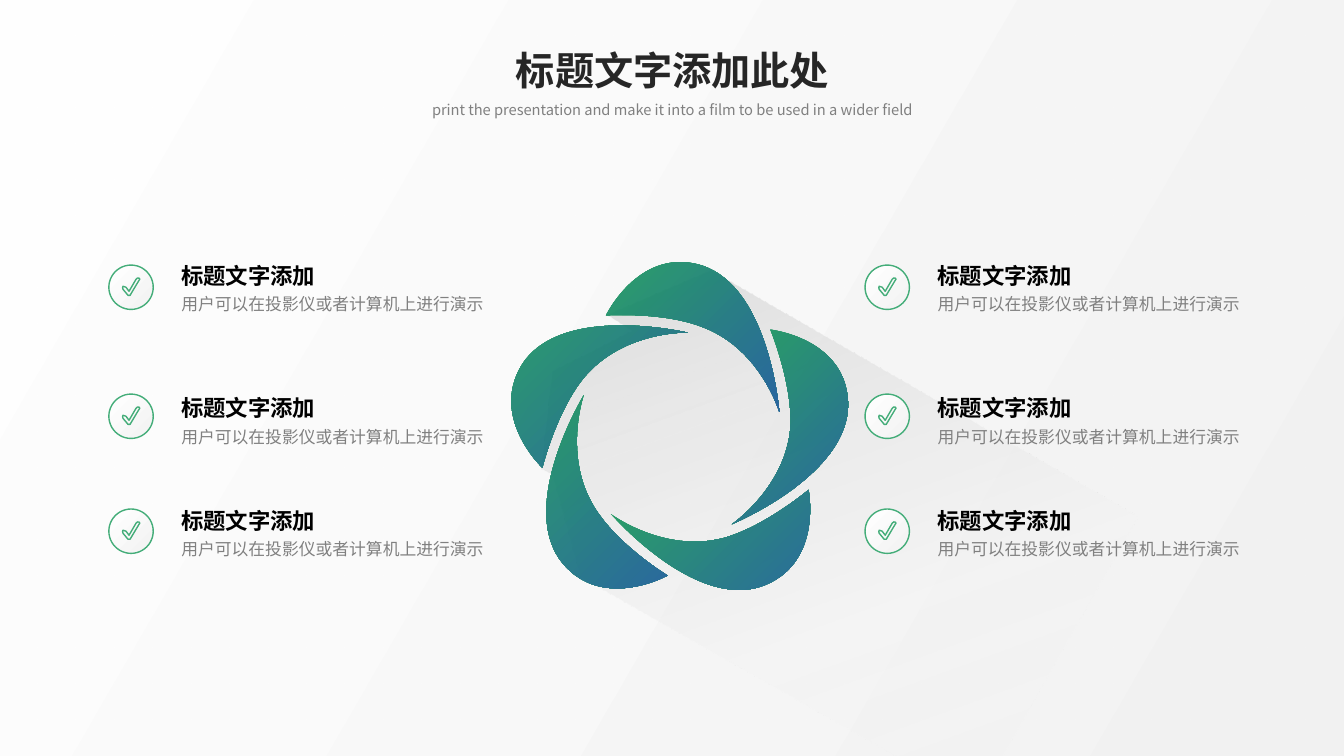
from dataclasses import dataclass

from lxml import etree
from pptx import Presentation
from pptx import util as u
from pptx.dml.color import RGBColor
from pptx.enum import shapes, text
from pptx.oxml.ns import qn

SCALE = 9144
WIDTH, HEIGHT = 1333, 750


@dataclass(frozen=True)
class Theme:
    font: str = "Noto Sans CJK SC"
    heading: str = "262626"
    label: str = "000000"
    muted: str = "808080"
    ring: str = "44AD79"
    heading_size: float = 28
    label_size: float = 16
    body_size: float = 12
    caption_size: float = 10.5
    backdrop: tuple = ((0, "FFFFFF", 95), (100, "F2F2F2", 100))
    petal: tuple = ((0, "159857", 90), (100, "155798", 90))
    badge: tuple = ((0, "FFFFFF", 100), (100, "F2F2F2", 100))
    cast: tuple = ((0, "BFBFBF", 50), (61, "F2F2F2", 34), (100, "F2F2F2", 0))


THEME = Theme()

CAST_SHADOW = [(1128, 512), (968, 795), (576, 572), (548, 470), (537, 465),
               (548, 368), (627, 328), (602, 312), (705, 268)]

PETALS = [
    ((538, 464), [(538, 464, 486, 415, 517, 363), (555, 300, 682, 330, 682, 330),
                  (682, 330, 618, 328, 579, 375), (552, 408, 538, 464, 538, 464)]),
    ((601, 313), [(601, 313, 632, 248, 691, 262), (763, 279, 773, 409, 773, 409),
                  (773, 409, 755, 347, 698, 325), (659, 309, 601, 313, 601, 313)]),
    ((764, 327), [(764, 327, 836, 335, 841, 396), (847, 470, 726, 520, 726, 520),
                  (726, 520, 780, 483, 784, 423), (786, 380, 764, 327, 764, 327)]),
    ((802, 486), [(802, 486, 816, 556, 760, 580), (692, 609, 606, 510, 606, 510),
                  (606, 510, 658, 549, 717, 534), (758, 523, 802, 486, 802, 486)]),
    ((662, 571), [(662, 571, 599, 606, 559, 560), (511, 504, 579, 392, 579, 392),
                  (579, 392, 558, 453, 590, 504), (613, 541, 662, 571, 662, 571)]),
]

BADGE_SIZE = 44
CHECK_START = (20, 30)
CHECK_SEGMENTS = [
    (19, 30, 19, 30, 19, 30), (14, 24), (13, 23, 14, 22, 14, 21),
    (15, 21, 16, 21, 17, 22), (20, 26), (27, 14), (28, 13, 29, 12, 30, 13),
    (31, 13, 31, 15, 30, 15), (21, 30), (21, 30, 21, 30, 20, 30),
]

COLUMNS = (108, 858)
ROWS = ((263, 250), (391, 381), (505, 493))


def px(*lengths):
    return [u.Emu(length * SCALE) for length in lengths]


def paint(shape, stops, angle, line=None):
    shape.shadow.inherit = False
    shape.fill.gradient()
    gradient = shape.element.spPr.find(qn("a:gradFill"))
    for child in list(gradient):
        gradient.remove(child)
    stop_list = etree.SubElement(gradient, qn("a:gsLst"))
    for position, color, alpha in stops:
        stop = etree.SubElement(stop_list, qn("a:gs"), pos=str(position * 1000))
        fill = etree.SubElement(stop, qn("a:srgbClr"), val=color)
        if alpha < 100:
            etree.SubElement(fill, qn("a:alpha"), val=str(alpha * 1000))
    etree.SubElement(gradient, qn("a:lin"), ang=str(angle * 60000), scaled="0")
    if line:
        shape.line.color.rgb = RGBColor.from_string(line)
        shape.line.width = u.Pt(1)
    else:
        shape.line.fill.background()


def add_preset(slide, preset, box, stops, angle, line=None):
    shape = slide.shapes.add_shape(preset, *px(*box))
    paint(shape, stops, angle, line)


def add_outline(slide, start, segments, stops, angle, line=None):
    points = [segment[i:i + 2] for segment in segments
              for i in range(0, len(segment), 2)]
    builder = slide.shapes.build_freeform(*start, scale=SCALE)
    builder.add_line_segments(points, close=True)
    shape = builder.convert_to_shape()
    steps = iter(shape.element.findall(".//" + qn("a:lnTo")))
    for segment in segments:
        group = [next(steps) for _ in range(len(segment) // 2)]
        if len(group) == 3:
            curve = etree.Element(qn("a:cubicBezTo"))
            group[0].addprevious(curve)
            for step in group:
                curve.append(step[0])
                step.getparent().remove(step)
    paint(shape, stops, angle, line)


def add_text(slide, content, box, size, color, bold=False,
             align=text.PP_ALIGN.JUSTIFY, spacing=None):
    frame = slide.shapes.add_textbox(*px(*box)).text_frame
    frame.word_wrap = True
    frame.auto_size = text.MSO_AUTO_SIZE.SHAPE_TO_FIT_TEXT
    paragraph = frame.paragraphs[0]
    paragraph.alignment = align
    if spacing:
        paragraph.line_spacing = spacing
    run = paragraph.add_run()
    run.text = content
    run.font.size = u.Pt(size)
    run.font.bold = bold
    run.font.color.rgb = RGBColor.from_string(color)
    run.font.name = THEME.font
    etree.SubElement(run.font._element, qn("a:ea"), typeface=THEME.font)


def add_item(slide, left, badge_top, label_top):
    add_preset(slide, shapes.MSO_SHAPE.OVAL,
               (left, badge_top, BADGE_SIZE, BADGE_SIZE),
               THEME.badge, 45, THEME.ring)
    origin = (left, badge_top)
    start = (CHECK_START[0] + left, CHECK_START[1] + badge_top)
    segments = [tuple(value + origin[i % 2] for i, value in enumerate(segment))
                for segment in CHECK_SEGMENTS]
    add_outline(slide, start, segments, THEME.badge, 45, THEME.ring)
    add_text(slide, "用户可以在投影仪或者计算机上进行演示",
             (left + 62, label_top + 33, 339, 34),
             THEME.body_size, THEME.muted, spacing=1.2)
    add_text(slide, "标题文字添加", (left + 62, label_top, 224, 40),
             THEME.label_size, THEME.label, bold=True, spacing=1.2)


def main():
    presentation = Presentation()
    presentation.slide_width, presentation.slide_height = px(WIDTH, HEIGHT)
    slide = presentation.slides.add_slide(presentation.slide_layouts[6])
    add_preset(slide, shapes.MSO_SHAPE.RECTANGLE, (0, 0, WIDTH, HEIGHT),
               THEME.backdrop, 30)
    add_outline(slide, CAST_SHADOW[0], CAST_SHADOW[1:], THEME.cast, 70)
    for start, segments in PETALS:
        add_outline(slide, start, segments, THEME.petal, 45)
    for left in COLUMNS:
        for badge_top, label_top in ROWS:
            add_item(slide, left, badge_top, label_top)
    add_text(slide, "标题文字添加此处", (487, 41, 360, 57), THEME.heading_size,
             THEME.heading, bold=True, align=text.PP_ALIGN.CENTER)
    add_text(slide, "print the presentation and make it into a film to be used in a wider field",
             (400, 92, 534, 30), THEME.caption_size, THEME.muted,
             align=text.PP_ALIGN.CENTER, spacing=1.2)
    presentation.save("out.pptx")


if __name__ == "__main__":
    main()
